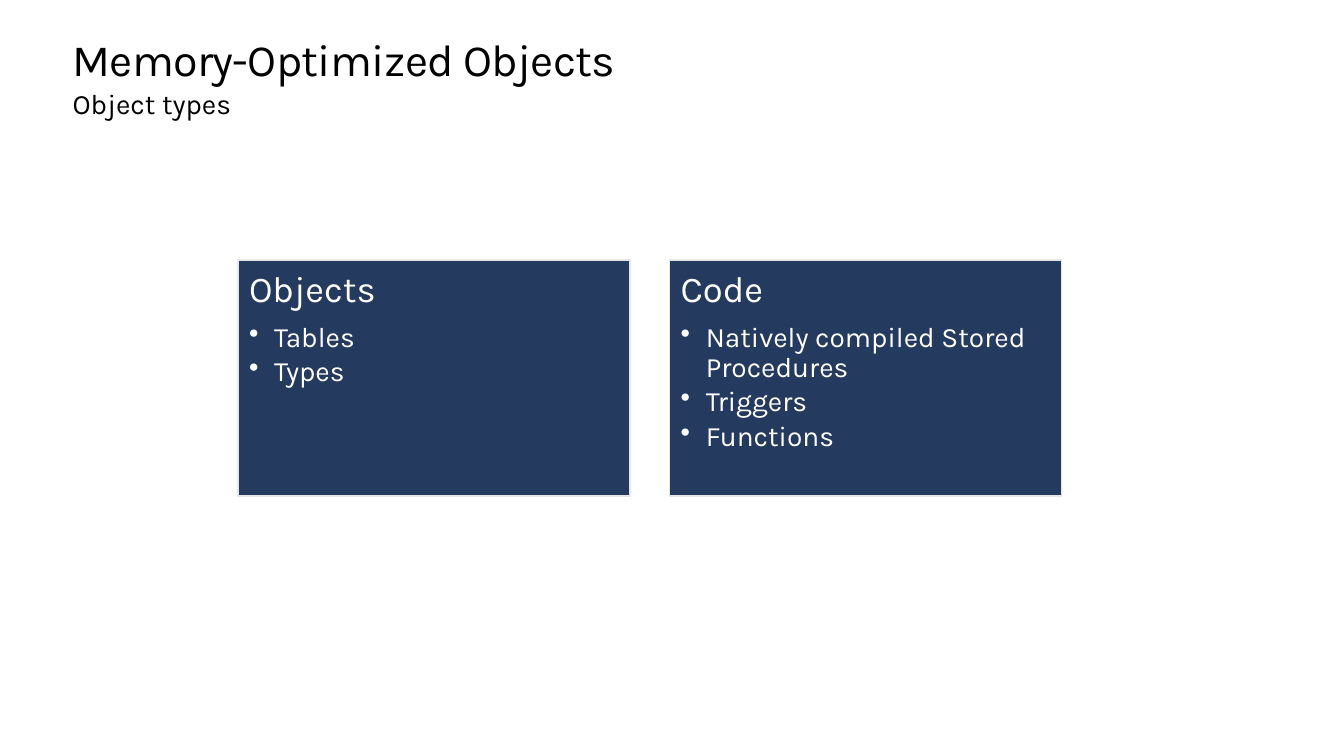
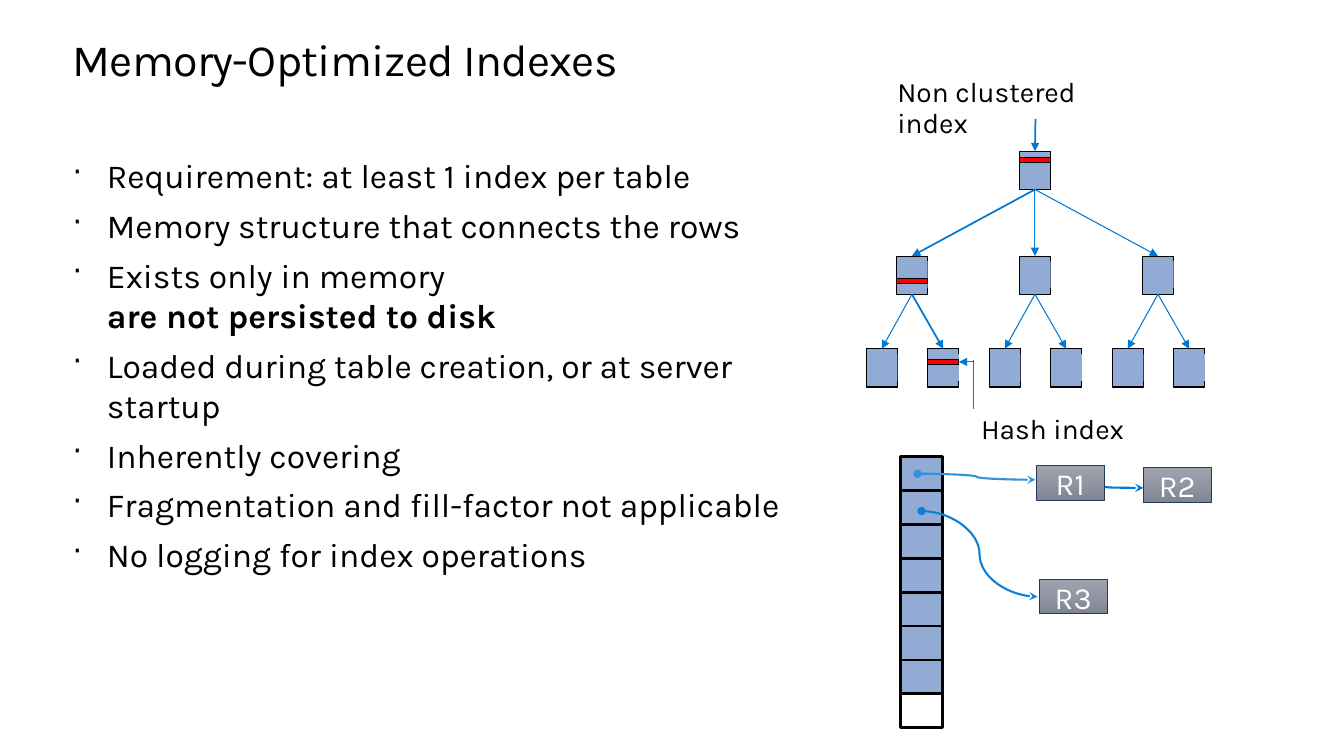
"""Build two slides on memory-optimized database objects and indexes."""
import copy
import dataclasses
import typing

import lxml.etree
import pptx
import pptx.dml.color
import pptx.enum.shapes
import pptx.enum.text
import pptx.oxml.ns
import pptx.util

Inches = pptx.util.Inches
Pt = pptx.util.Pt
Shapes = pptx.enum.shapes.MSO_SHAPE
Connectors = pptx.enum.shapes.MSO_CONNECTOR
Align = pptx.enum.text.PP_ALIGN
Anchor = pptx.enum.text.MSO_ANCHOR
qn = pptx.oxml.ns.qn

FONT = "Karla"
BLACK, WHITE, NAVY, PALE = "000000", "FFFFFF", "243A5E", "E6E6E6"
NODE_BLUE, ARROW_BLUE, RED = "91ABD5", "0078D4", "FF0000"
ROW_GRADIENT = ((0, "9FA3AE"), (0.5, "9296A2"), (1, "7E8494"))


@dataclasses.dataclass(frozen=True)
class Area:
    """Place and size in inches."""
    left: float
    top: float
    width: float
    height: float

    def lengths(self) -> list[int]:
        """Return the four values as lengths."""
        return [Inches(value) for value in dataclasses.astuple(self)]


@dataclasses.dataclass(frozen=True)
class Line:
    """One paragraph of text with its style."""
    text: str
    size: float
    color: str = BLACK
    bullet: str = ""
    indent: float = 0
    bold_tail: str = ""
    form: dict[str, typing.Any] = dataclasses.field(default_factory=dict)


@dataclasses.dataclass(frozen=True)
class Card:
    """A filled panel with a heading and bullets."""
    left: float
    heading: str
    items: tuple[str, ...]


@dataclasses.dataclass(frozen=True)
class Curve:
    """A curved pointer between two points."""
    start: tuple[float, float]
    end: tuple[float, float]
    color: str


CARDS = (
    Card(2.36, "Objects", ("Tables", "Types")),
    Card(6.64, "Code", ("Natively compiled Stored Procedures", "Triggers", "Functions")),
)
INDEX_FACTS = (
    ("Requirement: at least 1 index per table", ""),
    ("Memory structure that connects the rows", ""),
    ("Exists only in memory ", "are not persisted to disk"),
    ("Loaded during table creation, or at server startup", ""),
    ("Inherently covering", ""),
    ("Fragmentation and fill-factor not applicable", ""),
    ("No logging for index operations", ""),
)
CURVES = (
    Curve((9.1, 4.7), (10.27, 4.76), "3091DC"),
    Curve((9.14, 5.07), (10.29, 5.92), "1080D7"),
    Curve((10.65, 4.83), (11.34, 4.84), ARROW_BLUE),
)
ROWS = (("R1", 10.28, 4.62), ("R2", 11.34, 4.64), ("R3", 10.31, 5.75))


def rgb(code: str) -> pptx.dml.color.RGBColor:
    """Turn a hex string into a colour."""
    return pptx.dml.color.RGBColor.from_string(code)


def set_format(target: typing.Any, values: dict[str, typing.Any]) -> None:
    """Set each named attribute on the target."""
    for name, value in values.items():
        setattr(target, name, value)


def add_span(para: typing.Any, text: str, line: Line, bold: bool = False) -> typing.Any:
    """Add a formatted run to a paragraph."""
    span = para.add_run()
    span.text = text
    set_format(span.font, {"name": FONT, "size": Pt(line.size), "bold": bold})
    span.font.color.rgb = rgb(line.color)
    return span


def add_bullet(para: typing.Any, line: Line) -> None:
    """Give a paragraph a hanging bullet."""
    properties = para._p.get_or_add_pPr()
    properties.set("marL", str(Inches(line.indent)))
    properties.set("indent", str(-Inches(line.indent)))
    if line.bullet == "·":
        lxml.etree.SubElement(properties, qn("a:buSzPct")).set("val", "90000")
    lxml.etree.SubElement(properties, qn("a:buChar")).set("char", line.bullet)


def write(box: typing.Any, lines: typing.Sequence[Line],
          margins: tuple[float, float] = (0, 0), anchor: typing.Any = Anchor.TOP) -> None:
    """Fill a shape with formatted paragraphs."""
    frame = box.text_frame
    side, end = (Inches(value) for value in margins)
    set_format(frame, {
        "word_wrap": True, "auto_size": pptx.enum.text.MSO_AUTO_SIZE.NONE,
        "vertical_anchor": anchor, "margin_left": side, "margin_right": side,
        "margin_top": end, "margin_bottom": end,
    })
    for number, line in enumerate(lines):
        para = frame.add_paragraph() if number else frame.paragraphs[0]
        if line.bullet:
            add_bullet(para, line)
        set_format(para, {"alignment": Align.LEFT, **line.form})
        add_span(para, line.text, line)
        if line.bold_tail:
            para.add_line_break()
            add_span(para, line.bold_tail, line, bold=True)


def add_text(page: typing.Any, area: Area, lines: typing.Sequence[Line],
             margins: tuple[float, float] = (0, 0)) -> None:
    """Add a text box."""
    write(page.shapes.add_textbox(*area.lengths()), lines, margins)


def add_box(page: typing.Any, area: Area, fill: str = "", line: str = "",
            weight: float = 0.75) -> typing.Any:
    """Add a rectangle with optional fill and outline."""
    box = page.shapes.add_shape(Shapes.RECTANGLE, *area.lengths())
    box.shadow.inherit = False
    if fill:
        box.fill.solid()
        box.fill.fore_color.rgb = rgb(fill)
    else:
        box.fill.background()
    if line:
        box.line.color.rgb = rgb(line)
        box.line.width = Pt(weight)
    else:
        box.line.fill.background()
    return box


def add_line(page: typing.Any, start: tuple[float, float], end: tuple[float, float],
             weight: float = 0.75, color: str = ARROW_BLUE, head: str = "",
             tail: str = "triangle", kind: typing.Any = Connectors.STRAIGHT) -> typing.Any:
    """Add a connector with optional line ends."""
    link = page.shapes.add_connector(kind, *(Inches(value) for value in (*start, *end)))
    link.line.color.rgb = rgb(color)
    link.line.width = Pt(weight)
    outline = link.line._get_or_add_ln()
    for tag, style in (("a:headEnd", head), ("a:tailEnd", tail)):
        if style:
            lxml.etree.SubElement(outline, qn(tag)).set("type", style)
    lxml.etree.SubElement(link._element.spPr, qn("a:effectLst"))
    return link


def join(page: typing.Any, parent: typing.Any, child: typing.Any, weight: float) -> None:
    """Link the bottom of a parent node to the top of a child node."""
    link = add_line(page, (0, 0), (1, 1), weight)
    link.begin_connect(parent, 2)
    link.end_connect(child, 0)


def add_page(deck: typing.Any, title: str) -> typing.Any:
    """Add a title-only slide with the shared title style."""
    page = deck.slides.add_slide(deck.slide_layouts[5])
    box = page.shapes.title
    places = Area(0.72, 0.35, 11.9, 0.5).lengths()
    set_format(box, dict(zip(("left", "top", "width", "height"), places)))
    write(box, [Line(title, 32, form={"line_spacing": Pt(36.2)})])
    box.text_frame.paragraphs[0].runs[0].font._element.set("spc", "-50")
    return page


def add_card(page: typing.Any, card: Card) -> None:
    """Draw one panel of object types."""
    box = add_box(page, Area(card.left, 2.58, 3.89, 2.34), NAVY, PALE, 1)
    heading = Line(card.heading, 26, WHITE, form={"line_spacing": 0.9, "space_after": Pt(9)})
    items = [Line(item, 20, WHITE, "•", 0.25,
                  form={"line_spacing": 0.9, "space_after": Pt(3)}) for item in card.items]
    write(box, [heading, *items], (0.11, 0.11))


def add_node(page: typing.Any, left: float, top: float, patched: bool = True) -> typing.Any:
    """Draw one tree node."""
    node = add_box(page, Area(left, top, 0.31, 0.38), NODE_BLUE, BLACK)
    if patched:
        add_box(page, Area(left + 0.06, top + 0.05, 0.25, 0.27), NODE_BLUE)
    return node


def add_tree(page: typing.Any) -> None:
    """Draw the non clustered index tree and its highlighted path."""
    branches = [add_node(page, 8.89 + 1.22 * number, 2.54) for number in range(3)]
    leaves = [add_node(page, 8.59 + 0.61 * number, 3.46) for number in range(6)]
    root = add_node(page, 10.11, 1.5, patched=False)
    for number, branch in enumerate(branches):
        join(page, root, branch, 0.75 if number else 1.25)
    for number, leaf in enumerate(leaves):
        join(page, branches[number // 2], leaf, 1.25 if number == 1 else 0.75)
    for left, top in ((10.11, 1.56), (8.89, 2.76), (9.2, 3.57)):
        add_box(page, Area(left, top, 0.31, 0.05), RED, BLACK)
    add_line(page, (10.27, 1.18), (10.27, 1.5), 1.25).end_connect(root, 0)
    add_line(page, (9.66, 3.59), (9.51, 3.59))
    add_line(page, (9.66, 3.57), (9.66, 4.06), tail="")


def add_row(page: typing.Any, label: str, left: float, top: float) -> None:
    """Draw one data row with a gradient fill."""
    box = add_box(page, Area(left, top, 0.67, 0.34), WHITE, NAVY, 0.5)
    box.fill.gradient()
    box.fill.gradient_angle = 270
    stops = box._element.spPr.find(".//" + qn("a:gsLst"))
    stops.insert(1, copy.deepcopy(stops[0]))
    for stop, (position, color) in zip(box.fill.gradient_stops, ROW_GRADIENT):
        stop.position = position
        stop.color.rgb = rgb(color)
    write(box, [Line(label, 22, WHITE, form={"alignment": Align.CENTER})],
          (0.1, 0.05), Anchor.MIDDLE)


def add_hash(page: typing.Any) -> None:
    """Draw the hash buckets and the rows they point to."""
    count = 8
    pitch = 2.69 / count
    for number in range(count):
        fill = NODE_BLUE if number < count - 1 else ""
        add_box(page, Area(8.93, 4.53 + pitch * number, 0.42, pitch), fill, BLACK, 2)
    for curve in CURVES:
        add_line(page, curve.start, curve.end, 1.5, curve.color, "oval", "stealth",
                 Connectors.CURVE)
    for row in ROWS:
        add_row(page, *row)


def build_objects(deck: typing.Any) -> None:
    """Build the slide on object types."""
    page = add_page(deck, "Memory-Optimized Objects")
    add_text(page, Area(0.72, 0.86, 11.9, 0.5), [Line("Object types", 20)])
    for card in CARDS:
        add_card(page, card)


def build_indexes(deck: typing.Any) -> None:
    """Build the slide on indexes."""
    page = add_page(deck, "Memory-Optimized Indexes")
    facts = [Line(text, 24, BLACK, "·", 0.34, tail,
                  {"space_before": Pt(6.7 if number else 0)})
             for number, (text, tail) in enumerate(INDEX_FACTS)]
    add_text(page, Area(0.72, 1.54, 7.71, 5.1), facts)
    add_tree(page)
    add_text(page, Area(9.65, 4.04, 1.91, 0.42), [Line("Hash index", 20)], (0.08, 0.04))
    add_hash(page)
    add_text(page, Area(8.7, 0.62, 2.4, 0.63),
             [Line("Non clustered index", 20, form={"line_spacing": 0.9})], (0.2, 0.16))


def main() -> None:
    """Create and save the deck."""
    deck = pptx.Presentation()
    set_format(deck, {"slide_width": Inches(13.33), "slide_height": Inches(7.5)})
    build_objects(deck)
    build_indexes(deck)
    deck.save("out.pptx")


if __name__ == "__main__":
    main()
